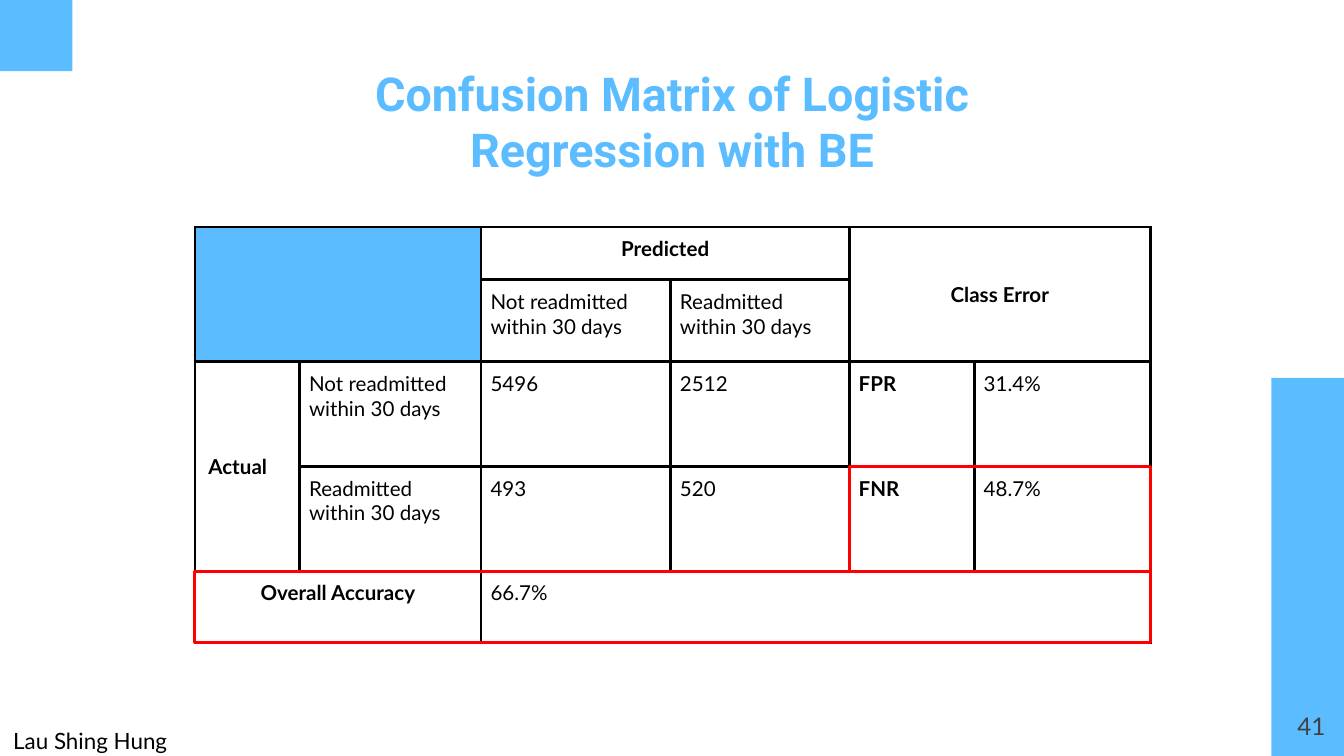
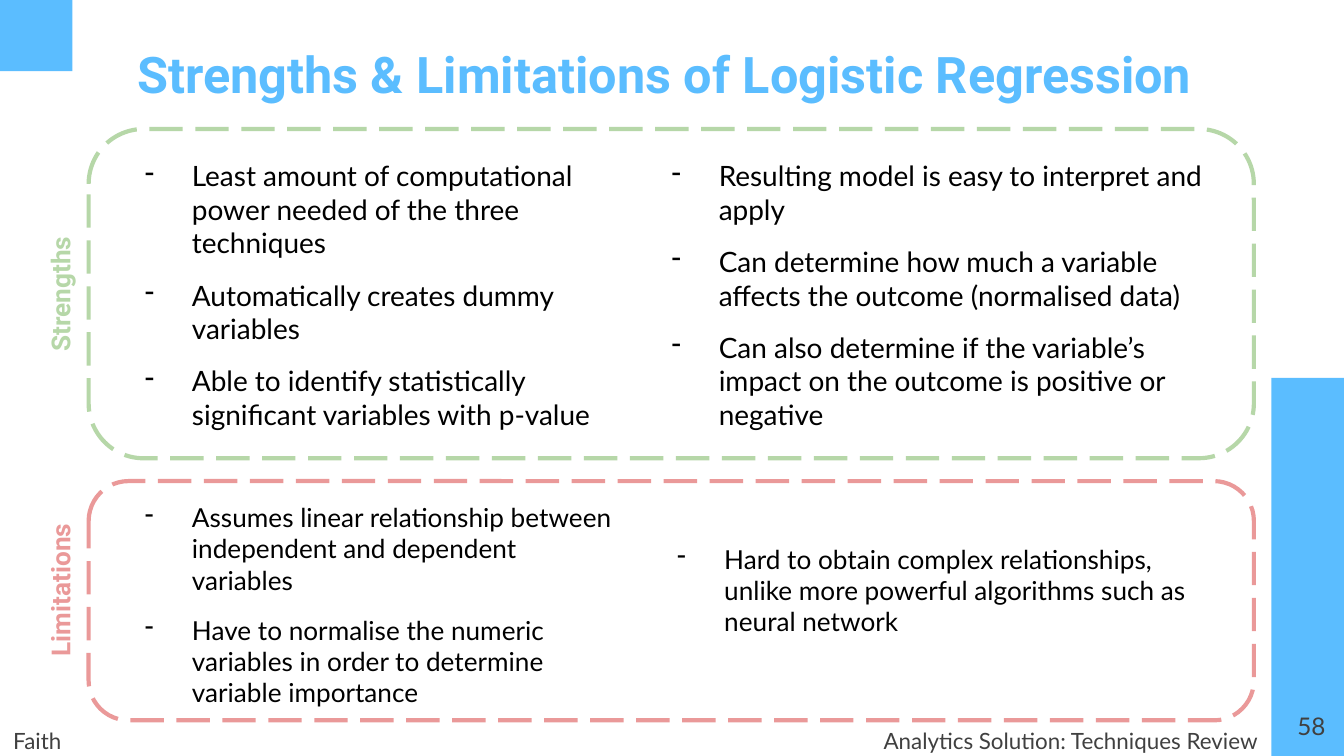
from dataclasses import dataclass

from lxml.etree import SubElement
from pptx import Presentation
from pptx.dml.color import RGBColor
from pptx.enum.dml import MSO_LINE
from pptx.enum.shapes import MSO_SHAPE
from pptx.enum.text import MSO_ANCHOR, MSO_AUTO_SIZE, PP_ALIGN
from pptx.oxml.ns import qn
from pptx.util import Emu, Inches, Pt

COLUMNS = 100  # square grid units across the slide
ROWS = COLUMNS * 9 / 16
UNIT = Inches(10) / COLUMNS


@dataclass(frozen=True)
class Theme:
    heading: str = "Roboto"
    body: str = "Lato"
    accent: str = "5BBDFF"
    ink: str = "000000"
    muted: str = "404040"
    alert: str = "FF0000"
    strength: str = "B6D7A8"
    limitation: str = "EA9999"
    label_size: int = 14
    number_size: int = 13
    footer_size: int = 12
    table_size: int = 11
    rule: float = 1.5
    panel_rule: float = 2.25


THEME = Theme()


def units(*values):
    return [Emu(round(v * UNIT)) for v in values]


def rgb(value):
    return RGBColor.from_string(value)


def add_dash(p):
    pPr = p._p.get_or_add_pPr()
    pPr.set("marL", str(Inches(0.5)))
    pPr.set("indent", str(-Inches(0.35)))
    SubElement(SubElement(pPr, qn("a:buClr")), qn("a:srgbClr"), val=THEME.ink)
    SubElement(pPr, qn("a:buChar"), char="-")


def write(tf, text, size, color=THEME.ink, font=THEME.body, bold=False,
          align=PP_ALIGN.LEFT, anchor=MSO_ANCHOR.TOP, inset=1, left=None,
          line_spacing=None, gap=0, dash=False, fit=MSO_AUTO_SIZE.NONE):
    """Fill a text frame with one paragraph for each line of text."""
    tf.word_wrap = True
    tf.auto_size = fit
    tf.vertical_anchor = anchor
    edge = units(inset)[0]
    tf.margin_top = tf.margin_right = tf.margin_bottom = edge
    tf.margin_left = edge if left is None else units(left)[0]
    for i, line in enumerate(text.split("\n")):
        p = tf.add_paragraph() if i else tf.paragraphs[0]
        if dash:
            add_dash(p)
        p.alignment = align
        if line_spacing:
            p.line_spacing = line_spacing
        if i and gap:
            p.space_before = Pt(gap)
        r = p.add_run()
        r.text = line
        r.font.name, r.font.size, r.font.bold = font, Pt(size), bold
        r.font.color.rgb = rgb(color)


def set_borders(cell):
    tcPr = cell._tc.get_or_add_tcPr()
    for side in ("lnL", "lnR", "lnT", "lnB"):
        ln = SubElement(tcPr, qn(f"a:{side}"), w=str(Pt(THEME.rule)))
        SubElement(SubElement(ln, qn("a:solidFill")), qn("a:srgbClr"), val=THEME.ink)


class Deck:
    def __init__(self):
        self.prs = Presentation()
        self.prs.slide_width, self.prs.slide_height = units(COLUMNS, ROWS)
        self.s = None

    def slide(self, title, box, size, number, author, author_color=THEME.ink,
              align=PP_ALIGN.LEFT):
        self.s = self.prs.slides.add_slide(self.prs.slide_layouts[5])
        self.shape((94.6, ROWS / 2, 5.4, ROWS / 2), fill=THEME.accent)
        self.shape((0, 0, 5.4, 5.3), fill=THEME.accent)
        sp = self.s.shapes.title
        sp.left, sp.top, sp.width, sp.height = units(*box)
        write(sp.text_frame, title, size, THEME.accent, THEME.heading, True, align)
        self.text((93.6, 51.9, 6, 4.3), number, size=THEME.number_size,
                  color=THEME.muted, align=PP_ALIGN.RIGHT)
        self.footer(0, author, author_color)

    def footer(self, x, text, color=THEME.muted, align=PP_ALIGN.LEFT):
        self.text((x, 53.7, 33.8, 2.5), text, size=THEME.footer_size, color=color,
                  align=align, anchor=MSO_ANCHOR.MIDDLE, line_spacing=1.15)

    def text(self, box, text, shapes=None, **fmt):
        sp = (shapes or self.s.shapes).add_textbox(*units(*box))
        write(sp.text_frame, text, **fmt)
        return sp

    def shape(self, box, kind=MSO_SHAPE.RECTANGLE, fill=None, line=None,
              width=THEME.rule, dash=None, shapes=None):
        sp = (shapes or self.s.shapes).add_shape(kind, *units(*box))
        sp.shadow.inherit = False
        if fill:
            sp.fill.solid()
            sp.fill.fore_color.rgb = rgb(fill)
        else:
            sp.fill.background()
        if line:
            sp.line.color.rgb = rgb(line)
            sp.line.width = Pt(width)
            if dash:
                sp.line.dash_style = dash
        else:
            sp.line.fill.background()

    def panel(self, label, color, top, height, label_middle, label_length):
        """Draw a dashed frame with its label turned to read upwards."""
        shapes = self.s.shapes.add_group_shape().shapes
        self.shape((6.6, top, 86.7, height), MSO_SHAPE.ROUNDED_RECTANGLE, line=color,
                   width=THEME.panel_rule, dash=MSO_LINE.LONG_DASH, shapes=shapes)
        thick = 4.4
        box = (4.45 - label_length / 2, label_middle - thick / 2, label_length, thick)
        sp = self.text(box, label, shapes, size=THEME.label_size, color=color,
                       font=THEME.heading, bold=True, align=PP_ALIGN.CENTER,
                       anchor=MSO_ANCHOR.MIDDLE)
        sp.rotation = 270

    def dashes(self, box, *items, size):
        self.text(box, "\n".join(items), size=size, gap=10, dash=True,
                  fit=MSO_AUTO_SIZE.SHAPE_TO_FIT_TEXT)

    def table(self, x, y, cols, rows, texts, merges, formats, filled):
        """Texts, formats and filled cells are keyed by (row, column)."""
        frame = self.s.shapes.add_table(len(rows), len(cols),
                                        *units(x, y, sum(cols), sum(rows)))
        table = frame.table
        table.first_row = table.horz_banding = False
        for col, width in zip(table.columns, units(*cols)):
            col.width = width
        for row, height in zip(table.rows, units(*rows)):
            row.height = height
        for r in range(len(rows)):
            for c in range(len(cols)):
                cell = table.cell(r, c)
                set_borders(cell)
                cell.fill.background()
                fmt = dict(inset=0.7, size=THEME.table_size) | formats.get((r, c), {})
                anchor = fmt.pop("anchor", MSO_ANCHOR.TOP)
                write_cell(cell, texts.get((r, c), ""), anchor, **fmt)
        for at in filled:
            cell = table.cell(*at)
            cell.fill.solid()
            cell.fill.fore_color.rgb = rgb(THEME.accent)
        for start, end in merges:
            table.cell(*start).merge(table.cell(*end))


def write_cell(cell, text, anchor, inset, size, bold=False, align=PP_ALIGN.LEFT,
               left=None):
    edge = units(inset)[0]
    cell.margin_top = cell.margin_right = cell.margin_bottom = edge
    cell.margin_left = edge if left is None else units(left)[0]
    cell.vertical_anchor = anchor
    p = cell.text_frame.paragraphs[0]
    p.alignment = align
    if not text:
        SubElement(p._p, qn("a:endParaRPr"), sz=str(size * 100))
        return
    r = p.add_run()
    r.text = text
    r.font.name, r.font.size, r.font.bold = THEME.body, Pt(size), bold
    r.font.color.rgb = rgb(THEME.ink)


def confusion_matrix(deck):
    deck.slide("Confusion Matrix of Logistic Regression with BE", (18.7, 3.8, 62.6, 7.4),
               25, "41", "Lau Shing Hung", align=PP_ALIGN.CENTER)
    x, y = 14.5, 16.9
    cols = [7.8, 13.5, 14.1, 13.3, 9.3, 13.1]
    rows = [3.9, 6.1, 7.8, 7.8, 5.3]
    no, yes = "Not readmitted within 30 days", "Readmitted within 30 days"
    grid = [
        ["", "", "Predicted", "", "Class Error", ""],
        ["", "", no, yes, "", ""],
        ["Actual", no, "5496", "2512", "FPR", "31.4%"],
        ["", yes, "493", "520", "FNR", "48.7%"],
        ["Overall Accuracy", "", "66.7%", "", "", ""],
    ]
    texts = {(r, c): t for r, row in enumerate(grid) for c, t in enumerate(row)}
    strong = dict(bold=True)
    centred = dict(bold=True, align=PP_ALIGN.CENTER)
    formats = {
        (0, 2): centred,
        (0, 4): centred | dict(anchor=MSO_ANCHOR.MIDDLE),
        (2, 0): strong | dict(anchor=MSO_ANCHOR.MIDDLE, left=1),
        (2, 4): strong,
        (3, 4): strong,
        (4, 0): centred,
    }
    merges = [((0, 0), (1, 1)), ((0, 2), (0, 3)), ((0, 4), (1, 5)),
              ((2, 0), (3, 0)), ((4, 0), (4, 1)), ((4, 2), (4, 5))]
    deck.table(x, y, cols, rows, texts, merges, formats, filled=[(0, 0)])
    for row, col in ((4, 0), (3, 4)):
        deck.shape((x + sum(cols[:col]), y + sum(rows[:row]), sum(cols[col:]), rows[row]),
                   line=THEME.alert)


def strengths_and_limitations(deck):
    deck.slide("Strengths & Limitations of Logistic Regression", (9.2, 2.2, 81.6, 7.4),
               27, "58", "Faith", THEME.muted)
    deck.footer(60.8, "Analytics Solution: Techniques Review", align=PP_ALIGN.RIGHT)
    deck.panel("Limitations", THEME.limitation, 35.8, 17.8, 43.9, 17.8)
    deck.panel("Strengths", THEME.strength, 9.6, 24.5, 21.9, 16.5)
    deck.dashes((8.3, 10.8, 39.6, 22.5),
                "Least amount of computational power needed of the three techniques",
                "Automatically creates dummy variables",
                "Able to identify statistically significant variables with p-value",
                size=15)
    deck.dashes((47.5, 10.8, 43.4, 22.5),
                "Resulting model is easy to interpret and apply",
                "Can determine how much a variable affects the outcome (normalised data)",
                "Can also determine if the variable’s impact on the outcome is positive "
                "or negative",
                size=15)
    deck.dashes((8.3, 36.3, 39.1, 15.2),
                "Assumes linear relationship between independent and dependent variables",
                "Have to normalise the numeric variables in order to determine variable "
                "importance",
                size=14)
    deck.dashes((47.9, 39.4, 42.5, 9.1),
                "Hard to obtain complex relationships, unlike more powerful algorithms "
                "such as neural network",
                size=14)


def main():
    deck = Deck()
    confusion_matrix(deck)
    strengths_and_limitations(deck)
    deck.prs.save("out.pptx")


if __name__ == "__main__":
    main()
